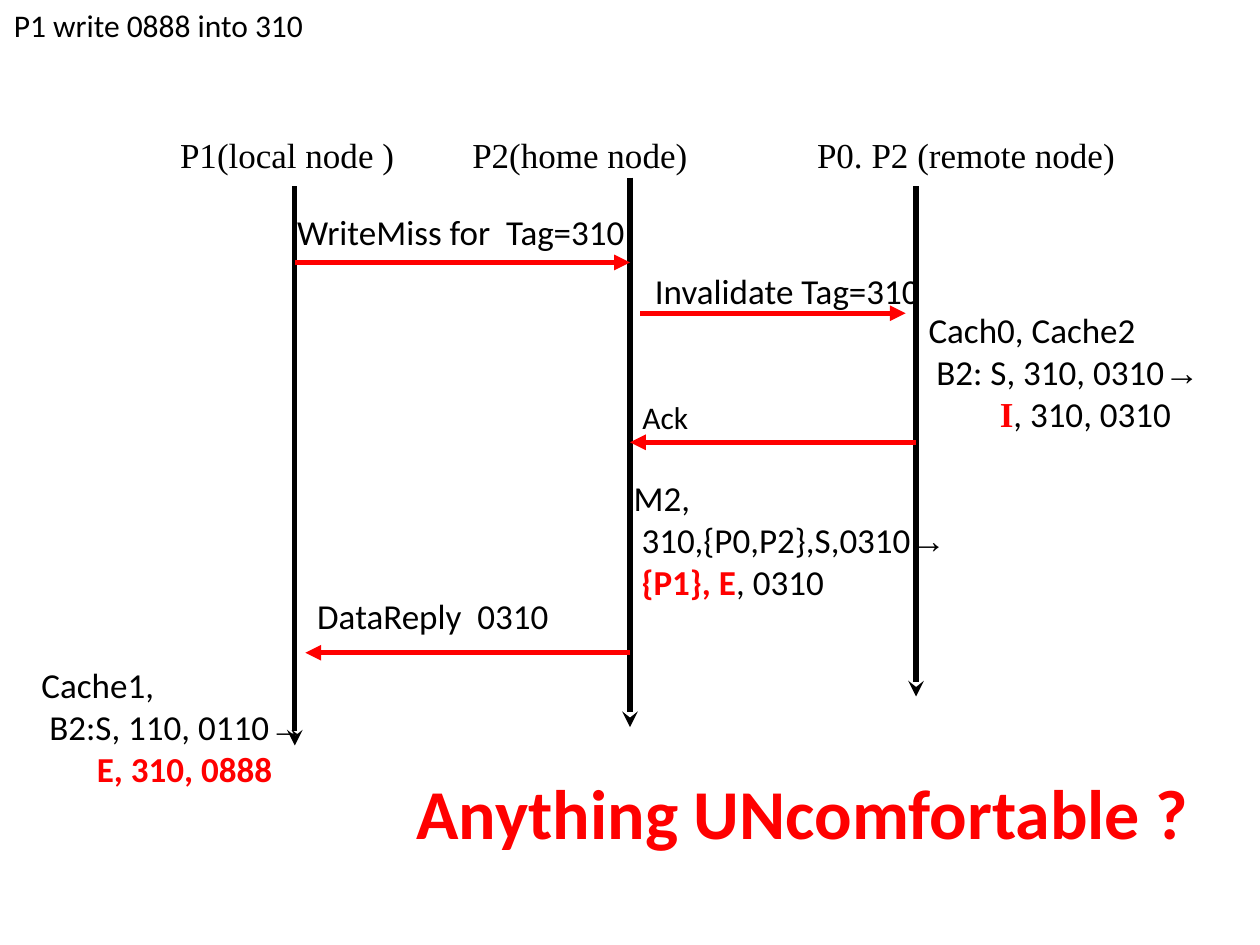
from pptx import Presentation
from pptx.dml.color import RGBColor
from pptx.enum.shapes import MSO_CONNECTOR
from pptx.enum.text import MSO_ANCHOR, MSO_AUTO_SIZE, PP_ALIGN
from pptx.oxml.ns import qn
from pptx.util import Pt
from lxml import etree

LINE = MSO_CONNECTOR.STRAIGHT
TOP = MSO_ANCHOR.TOP
LEFT = PP_ALIGN.LEFT
GROW = MSO_AUTO_SIZE.SHAPE_TO_FIT_TEXT

THEME = {
    "ink": RGBColor(0, 0, 0), "hot": RGBColor(255, 0, 0),
    "body": "Calibri", "serif": "Times New Roman", "sign": "Arial",
    "small": 18, "text": 20, "big": 40, "stroke": 3,
}
HOT = {"color": "hot", "bold": True}
TURN = ("→", {"font": "sign"})

TITLE = "P1 write 0888 into 310"
HEADS = ["P1(local node )", "P2(home node)", "P0. P2 (remote node)"]
STOPS = [167, 364]

LANES = {"local": (168.5, 106.5, 426), "home": (360, 101.5, 415.5),
         "remote": (523.5, 106.5, 398)}

# fields: from lane, shift, to lane, shift, height
CALLS = [
    ("local", 0, "home", 0, 150),
    ("home", 6, "remote", -6, 179),
    ("remote", 0, "home", 0, 252.75),
    ("home", 0, "local", 6, 373),
]

LABELS = [
    ("WriteMiss for  Tag=310", (162.7, 116.6, 204.5, 31.5), "text", False),
    ("Invalidate Tag=310", (367.2, 150.5, 168.5, 31.5), "text", False),
    ("Ack", (360, 224, 44.6, 29), "small", False),
    ("DataReply  0310", (174.2, 336.2, 163.4, 31.5), "text", True),
]

# fields: lines of (indent, runs), box, wrap
STATES = [
    ([(0, [("Cach0, Cache2", {})]),
      (4.5, [("B2: S, 310, 0310", {}), TURN]),
      (40.7, [("I", {**HOT, "font": "serif"}), (", 310, 0310", {})])],
     (523.5, 172.8, 174.2, 79.2), True),
    ([(0, [("M2,", {})]),
      (4.5, [("310,{P0,P2},S,0310", {}), TURN]),
      (4.5, [("{P1}, E", HOT), (", 0310", {})])],
     (355, 268.6, 193, 79.2), False),
    ([(0, [("Cache1,", {})]),
      (4.5, [("B2:S, 110, 0110", {}), TURN]),
      (31.7, [("E, 310, 0888", HOT)])],
     (16.6, 375.8, 174.2, 79.2), True),
]
ASK = "Anything UNcomfortable ?"


def style(para, text, font="body", size="text", color="ink", bold=False):
    run = para.add_run()
    run.text = text
    run.font.name = THEME[font]
    run.font.size = Pt(THEME[size])
    run.font.color.rgb = THEME[color]
    run.font.bold = bold


def place(shape, wrap):
    frame = shape.text_frame
    frame.word_wrap = wrap
    frame.auto_size = GROW
    frame.vertical_anchor = TOP
    return frame


def box(slide, lines, area, wrap):
    shape = slide.shapes.add_textbox(*map(Pt, area))
    frame = place(shape, wrap)
    for i, (indent, runs) in enumerate(lines):
        para = frame.add_paragraph() if i else frame.paragraphs[0]
        if indent:
            para._p.get_or_add_pPr().set("marL", str(Pt(indent)))
        for text, form in runs:
            style(para, text, **form)
    return frame


def arrow(slide, start, end, color, head):
    line = slide.shapes.add_connector(LINE, *map(Pt, start + end))
    line.line.color.rgb = THEME[color]
    line.line.width = Pt(THEME["stroke"])
    tip = etree.SubElement(line.line._get_or_add_ln(), qn("a:tailEnd"))
    tip.set("type", head)
    etree.SubElement(line._element.spPr, qn("a:effectLst"))


def main():
    deck = Presentation()
    deck.slide_width, deck.slide_height = Pt(720), Pt(540)
    slide = deck.slides.add_slide(deck.slide_layouts[5])

    title = slide.shapes.title
    title.left, title.top, title.width, title.height = map(
        Pt, (0.7, 0, 180, 29))
    para = place(title, False).paragraphs[0]
    para.alignment = LEFT
    style(para, TITLE, size="small")

    frame = box(slide, [(0, [("\t".join(HEADS), {"font": "serif"})])],
                (95.8, 73, 568, 31), True)
    tabs = etree.SubElement(
        frame.paragraphs[0]._p.get_or_add_pPr(), qn("a:tabLst"))
    for stop in STOPS:
        etree.SubElement(tabs, qn("a:tab"), pos=str(Pt(stop)), algn="l")

    for x, top, end in LANES.values():
        arrow(slide, (x, top), (x, end), "ink", "stealth")
    for src, out, dst, into, y in CALLS:
        arrow(slide, (LANES[src][0] + out, y), (LANES[dst][0] + into, y),
              "hot", "triangle")

    for text, area, size, wrap in LABELS:
        box(slide, [(0, [(text, {"size": size})])], area, wrap)
    for lines, area, wrap in STATES:
        box(slide, lines, area, wrap)
    box(slide, [(0, [(ASK, {**HOT, "size": "big"})])],
        (231, 436.3, 457.2, 55.4), False)

    deck.save("out.pptx")


if __name__ == "__main__":
    main()
